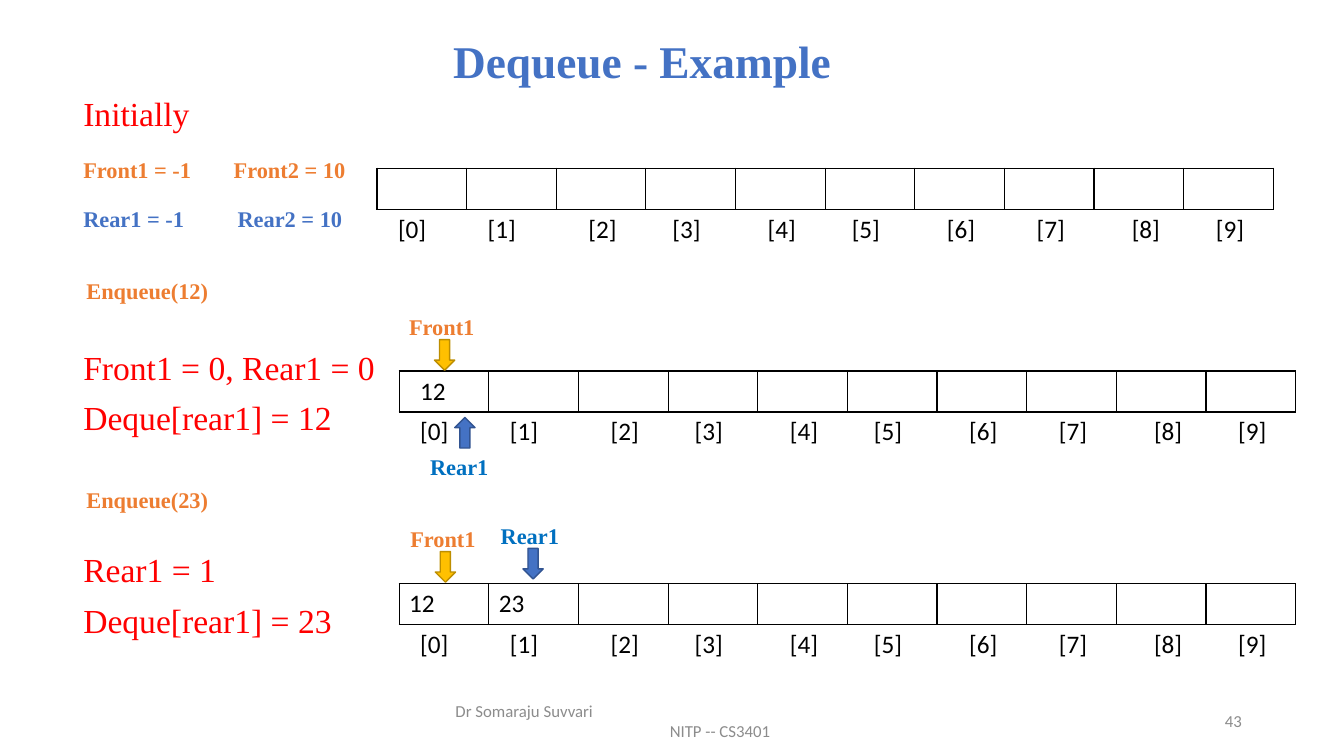
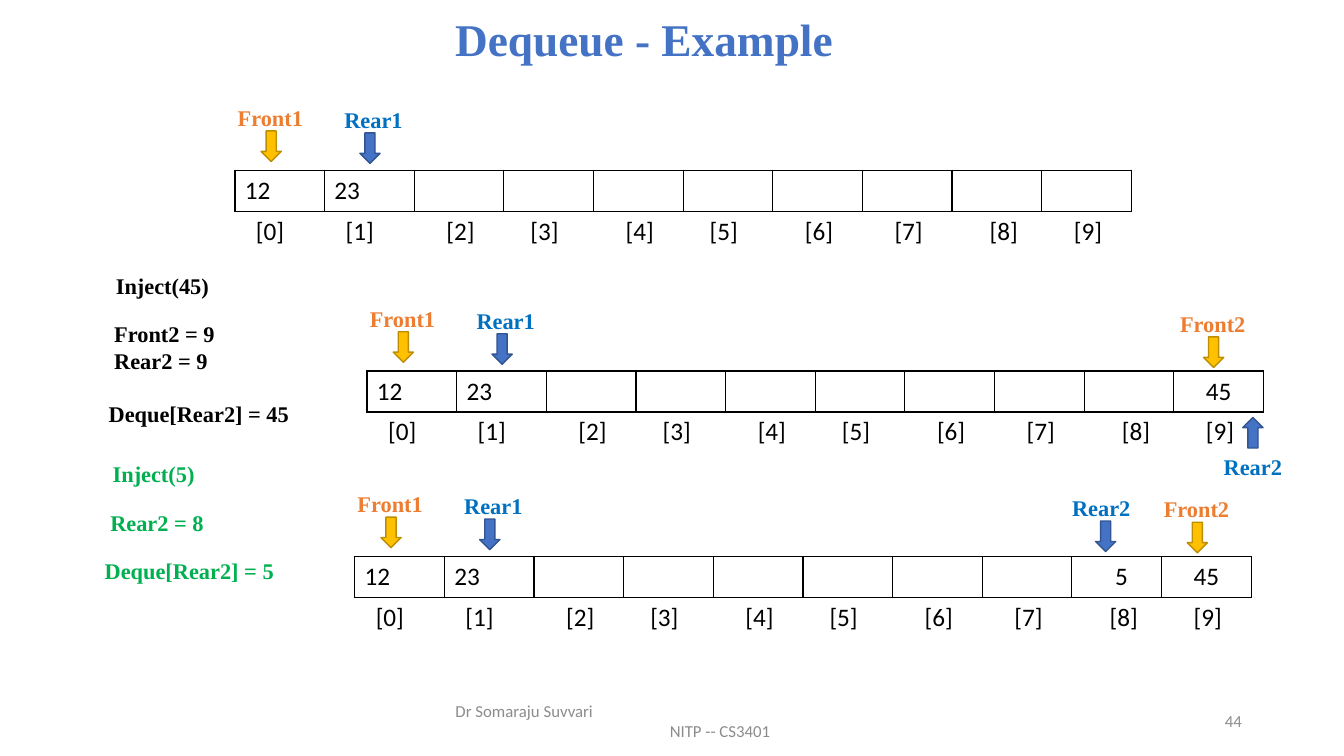
"""Build two slides that trace a double-ended queue held in an array."""
from lxml.etree import SubElement
from pptx import Presentation
from pptx.dml.color import RGBColor
from pptx.enum.shapes import MSO_SHAPE
from pptx.enum.text import MSO_ANCHOR, PP_ALIGN
from pptx.oxml.ns import qn
from pptx.util import Cm, Pt

SERIF, SANS = "Times New Roman", "Calibri"
BLUE, ORANGE, RED = "4472C4", "ED7D31", "FF0000"
GREEN, BLACK, GREY = "00B050", "000000", "8C8C8C"
POINTERS = {"Front": (ORANGE, "FFC000", "BD8E00"), "Rear": ("0070C0", BLUE, "325491")}
COL_W, ROW_H = 2.26, 1.03
SPACE_W = 0.14
INDEX_INDENTS = [2, 2, 4, 3, 4, 3, 4, 4, 5, 4]


def rgb(value):
    return RGBColor.from_string(value)


def add_text(s, box, lines, color, size=16, font=SERIF, bold=True,
             align=PP_ALIGN.LEFT, anchor=MSO_ANCHOR.TOP, spacing=None):
    tf = s.shapes.add_textbox(*[Cm(v) for v in box]).text_frame
    tf.word_wrap = True
    tf.vertical_anchor = anchor
    for i, line in enumerate(lines):
        p = tf.paragraphs[0] if i == 0 else tf.add_paragraph()
        p.alignment = align
        p.line_spacing = spacing
        r = p.add_run()
        r.text = line
        r.font.name, r.font.size, r.font.bold = font, Pt(size), bold
        r.font.color.rgb = rgb(color)
    return tf


both_down = [("Front1", -0.18, 0.66, -0.99), ("Rear1", 2.51, 3.15, -0.94)]
slides = [
    {
        "number": "43",
        "title": (3.48, 0.79),
        "steps": [("Initially", 10), ("Front1 = 0, Rear1 = 0", 155), ("Deque[rear1] = 12", 10),
                  ("Rear1 = 1", 83), ("Deque[rear1] = 23", 10)],
        "labels": [
            (["Front1 = -1"], 1.85, 3.81, ORANGE),
            (["Front2 = 10"], 5.64, 3.81, ORANGE),
            (["Rear1 = -1"], 1.85, 5.05, BLUE),
            (["Rear2 = 10"], 5.74, 5.05, BLUE),
            (["Enqueue(12)"], 1.93, 6.86, ORANGE),
            (["Enqueue(23)"], 1.93, 12.12, ORANGE),
        ],
        "arrays": [
            (9.5, 4.24, {}, []),
            (10.06, 9.35, {0: ("12", 2)},
             [("Front1", 0, 0.89, -0.79), ("Rear1", 0.53, 1.4, 1.17)]),
            (10.06, 14.71, {0: ("12", 0), 1: ("23", 0)},
             [("Front1", 0.03, 0.91, -0.81), ("Rear1", 2.31, 3.12, -0.89)]),
        ],
    },
    {
        "number": "44",
        "title": (3.53, 0.25),
        "steps": [],
        "labels": [
            (["Inject(45)"], 2.67, 6.73, BLACK),
            (["Front2 = 9", "Rear2 = 9"], 2.63, 7.95, BLACK),
            (["Deque[Rear2] = 45"], 2.49, 9.96, BLACK),
            (["Inject(5)"], 2.59, 11.48, GREEN),
            (["Rear2 = 8"], 2.53, 12.7, GREEN),
            (["Deque[Rear2] = 5"], 2.39, 13.92, GREEN),
        ],
        "arrays": [
            (5.92, 4.29, {0: ("12", 0), 1: ("23", 0)}, both_down),
            (9.25, 9.35, {0: ("12", 0), 1: ("23", 0), 9: ("45", 4)},
             both_down + [("Front2", 20.24, 21.08, -0.86), ("Rear2", 21.34, 22.07, 1.17)]),
            (8.94, 14.02, {0: ("12", 0), 1: ("23", 0), 8: ("5", 6), 9: ("45", 4)},
             both_down + [("Front2", 20.14, 20.98, -0.86), ("Rear2", 17.83, 18.67, -0.89)]),
        ],
    },
]

prs = Presentation()
prs.slide_width, prs.slide_height = Cm(33.87), Cm(19.05)

for page in slides:
    s = prs.slides.add_slide(prs.slide_layouts[6])
    add_text(s, (*page["title"], 25.4, 1.55), ["Dequeue - Example"], BLUE, size=32.4,
             align=PP_ALIGN.CENTER, anchor=MSO_ANCHOR.BOTTOM, spacing=0.9)
    if page["steps"]:
        tf = add_text(s, (1.85, 2.34, 30.76, 15.93), [step for step, gap in page["steps"]],
                      RED, size=24, bold=False, spacing=0.9)
        for p, (step, gap) in zip(tf.paragraphs, page["steps"]):
            p.space_before = Pt(gap)
    for lines, x, y, color in page["labels"]:
        add_text(s, (x, y, 5.2, 0.94), lines, color)

    for x, y, values, pointers in page["arrays"]:
        table = s.shapes.add_table(2, 10, Cm(x), Cm(y), Cm(10 * COL_W), Cm(2 * ROW_H)).table
        table.first_row = table.horz_banding = False
        for row in table.rows:
            row.height = Cm(ROW_H)
        for col, index_indent in enumerate(INDEX_INDENTS):
            table.columns[col].width = Cm(COL_W)
            contents = [values.get(col, ("", 0)), (f"[{col}]", index_indent)]
            for row, (value, indent) in enumerate(contents):
                cell = table.cell(row, col)
                cell.margin_left = Cm(0.25 + indent * SPACE_W)
                tcPr = cell._tc.get_or_add_tcPr()
                for side in "LRTB":
                    ln = SubElement(tcPr, qn(f"a:ln{side}"), w=str(Pt(1)))
                    if row == 0 or side == "T":
                        fill = SubElement(ln, qn("a:solidFill"))
                        SubElement(fill, qn("a:srgbClr"), val=BLACK)
                    else:
                        SubElement(ln, qn("a:noFill"))
                cell.fill.background()
                if value:
                    r = cell.text_frame.paragraphs[0].add_run()
                    r.text = value
                    r.font.name, r.font.size = SANS, Pt(18)
                    r.font.color.rgb = rgb(BLACK)

        for name, label_dx, arrow_dx, arrow_dy in pointers:
            text_color, fill_color, line_color = POINTERS[name[:-1]]
            below = arrow_dy > 0
            sp = s.shapes.add_shape(MSO_SHAPE.DOWN_ARROW, Cm(x + arrow_dx), Cm(y + arrow_dy),
                                    Cm(0.51), Cm(0.77))
            sp.rotation = 180 if below else 0
            sp.shadow.inherit = False
            sp.fill.solid()
            sp.fill.fore_color.rgb = rgb(fill_color)
            sp.line.color.rgb = rgb(line_color)
            sp.line.width = Pt(1)
            label_y = y + arrow_dy + (0.77 if below else -0.8)
            add_text(s, (x + label_dx, label_y, 2.18, 0.94), [name], text_color)

    footer = add_text(s, (11.23, 17.65, 11.43, 1.02), ["Dr Somaraju Suvvari", "NITP -- CS3401"],
                      GREY, size=12, font=SANS, bold=False, anchor=MSO_ANCHOR.MIDDLE)
    footer.paragraphs[1]._p.get_or_add_pPr().set("marL", str(Cm(5.4)))
    add_text(s, (23.93, 17.65, 7.62, 1.02), [page["number"]], GREY, size=12, font=SANS,
             bold=False, align=PP_ALIGN.RIGHT, anchor=MSO_ANCHOR.MIDDLE)

prs.save("out.pptx")
